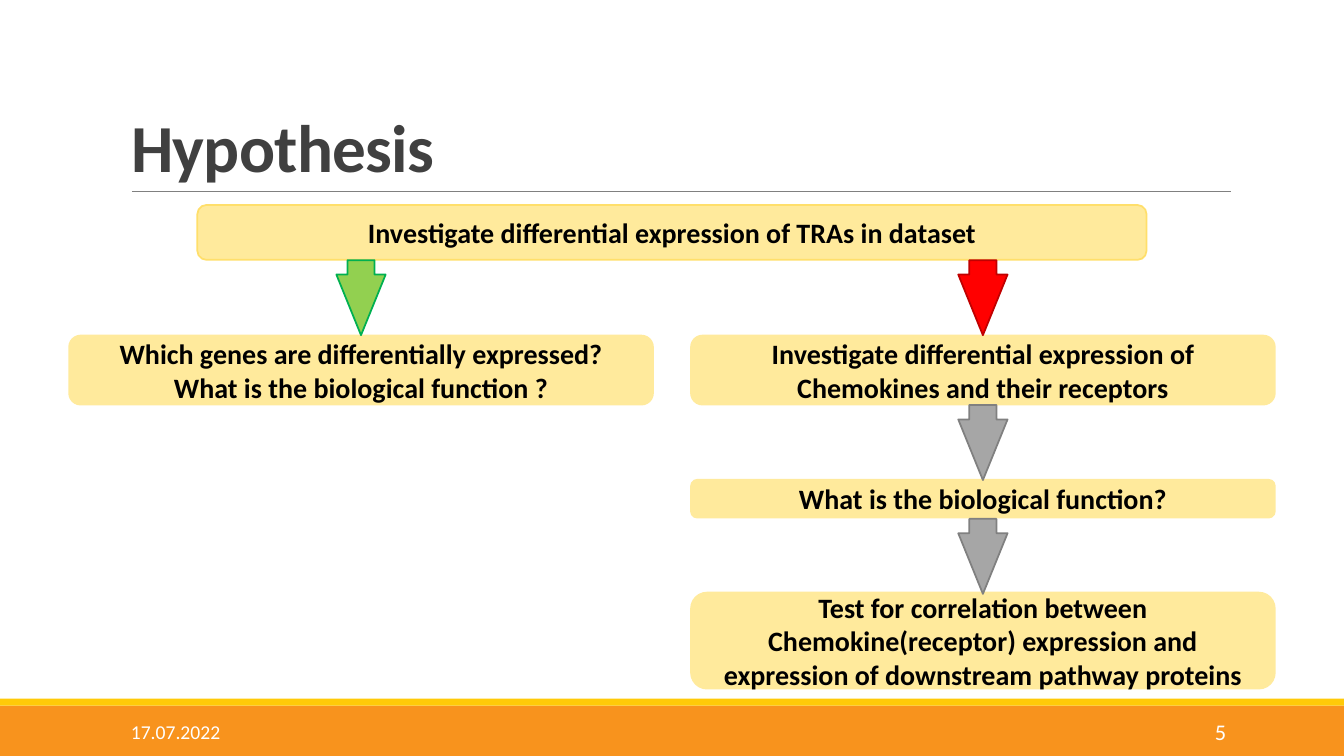
"""Build the Hypothesis slide: a flow of research questions under a title."""
from lxml.etree import SubElement
from pptx import Presentation
from pptx.dml.color import RGBColor
from pptx.enum.shapes import MSO_CONNECTOR, MSO_SHAPE
from pptx.enum.text import MSO_ANCHOR, MSO_AUTO_SIZE, PP_ALIGN
from pptx.oxml.ns import qn
from pptx.util import Pt

WHITE = RGBColor(0xFF, 0xFF, 0xFF)
BLACK = RGBColor(0x00, 0x00, 0x00)
CHARCOAL = RGBColor(0x40, 0x40, 0x40)
GRAY = RGBColor(0x80, 0x80, 0x80)
LIGHT_GRAY = RGBColor(0xA6, 0xA6, 0xA6)
ORANGE = RGBColor(0xF8, 0x93, 0x1D)
GOLD = RGBColor(0xFF, 0xCA, 0x08)
CREAM = RGBColor(0xFF, 0xEA, 0x9C)
YELLOW = RGBColor(0xFF, 0xDF, 0x6B)
LIME = RGBColor(0x92, 0xD0, 0x50)
GREEN = RGBColor(0x00, 0xB0, 0x50)
RED = RGBColor(0xFF, 0x00, 0x00)
DARK_RED = RGBColor(0xC0, 0x00, 0x00)


def write(frame, text, size=20, color=BLACK, bold=False, align=PP_ALIGN.LEFT,
          anchor=MSO_ANCHOR.MIDDLE, line_spacing=None, tracking=None):
    frame.word_wrap = True
    frame.auto_size = MSO_AUTO_SIZE.NONE
    frame.vertical_anchor = anchor
    for index, line in enumerate(text.split("\n")):
        paragraph = frame.add_paragraph() if index else frame.paragraphs[0]
        paragraph.alignment = align
        paragraph.line_spacing = line_spacing
        run = paragraph.add_run()
        run.text = line
        run.font.name = "Calibri"
        run.font.size = Pt(size)
        run.font.bold = bold
        run.font.color.rgb = color
        if tracking is not None:
            run.font._element.set("spc", str(tracking))


def draw(kind, left, top, width, height, fill, outline=None):
    shape = slide.shapes.add_shape(kind, Pt(left), Pt(top), Pt(width), Pt(height))
    shape.shadow.inherit = False
    shape.fill.solid()
    shape.fill.fore_color.rgb = fill
    if outline is None:
        shape.line.fill.background()
    else:
        shape.line.color.rgb = outline
        shape.line.width = Pt(1.25)
    return shape


presentation = Presentation()
presentation.slide_width = Pt(960)
presentation.slide_height = Pt(540)
slide = presentation.slides.add_slide(presentation.slide_layouts[5])

draw(MSO_SHAPE.RECTANGLE, 0, 504, 960, 36, ORANGE)
draw(MSO_SHAPE.RECTANGLE, 0, 499, 960, 5, GOLD)
title_rule = slide.shapes.add_connector(
    MSO_CONNECTOR.STRAIGHT, Pt(94.3), Pt(136.7), Pt(879), Pt(136.7))
title_rule.line.color.rgb = GRAY
title_rule.line.width = Pt(0.5)
SubElement(title_rule._element.spPr, qn("a:effectLst"))

heading = slide.shapes.title
heading.left, heading.top = Pt(86.4), Pt(22.5)
heading.width, heading.height = Pt(792), Pt(114.2)
write(heading.text_frame, "Hypothesis", size=48, color=CHARCOAL, bold=True,
      anchor=MSO_ANCHOR.BOTTOM, line_spacing=0.85, tracking=-50)

for text, left, width, size, align in (
    ("17.07.2022", 86.4, 194.4, 14, PP_ALIGN.LEFT),
    ("5", 780, 103, 16, PP_ALIGN.RIGHT),
):
    footer = slide.shapes.add_textbox(Pt(left), Pt(508.3), Pt(width), Pt(28.8))
    write(footer.text_frame, text, size=size, color=WHITE, align=align)

STEP_WIDTH = 417
LEFT_COLUMN, RIGHT_COLUMN = 49.4, 493.6
steps = (
    ("Investigate differential expression of TRAs in dataset",
     141, 146.4, 678, 39.2, YELLOW),
    ("Which genes are differentially expressed?\nWhat is the biological function ?",
     LEFT_COLUMN, 239.7, STEP_WIDTH, 49.3, CREAM),
    ("Investigate differential expression of Chemokines and their receptors",
     RIGHT_COLUMN, 239.7, STEP_WIDTH, 49.3, CREAM),
    ("What is the biological function?",
     RIGHT_COLUMN, 342.7, STEP_WIDTH, 27, CREAM),
    ("Test for correlation between Chemokine(receptor) expression and "
     "expression of downstream pathway proteins",
     RIGHT_COLUMN, 423.3, STEP_WIDTH, 68.6, CREAM),
)
for text, left, top, width, height, outline in steps:
    step = draw(MSO_SHAPE.ROUNDED_RECTANGLE, left, top, width, height, CREAM, outline)
    write(step.text_frame, text, bold=True, align=PP_ALIGN.CENTER)

ARROW_WIDTH = 35.2
for column, top, fill, outline in (
    (LEFT_COLUMN, 185.8, LIME, GREEN),
    (RIGHT_COLUMN, 185.8, RED, DARK_RED),
    (RIGHT_COLUMN, 289.3, LIGHT_GRAY, GRAY),
    (RIGHT_COLUMN, 370.6, LIGHT_GRAY, GRAY),
):
    arrow = draw(MSO_SHAPE.DOWN_ARROW, column + (STEP_WIDTH - ARROW_WIDTH) / 2, top,
                 ARROW_WIDTH, 53.6, fill, outline)
    arrow.adjustments[0] = 0.55
    arrow.adjustments[1] = 1.23

presentation.save("out.pptx")
